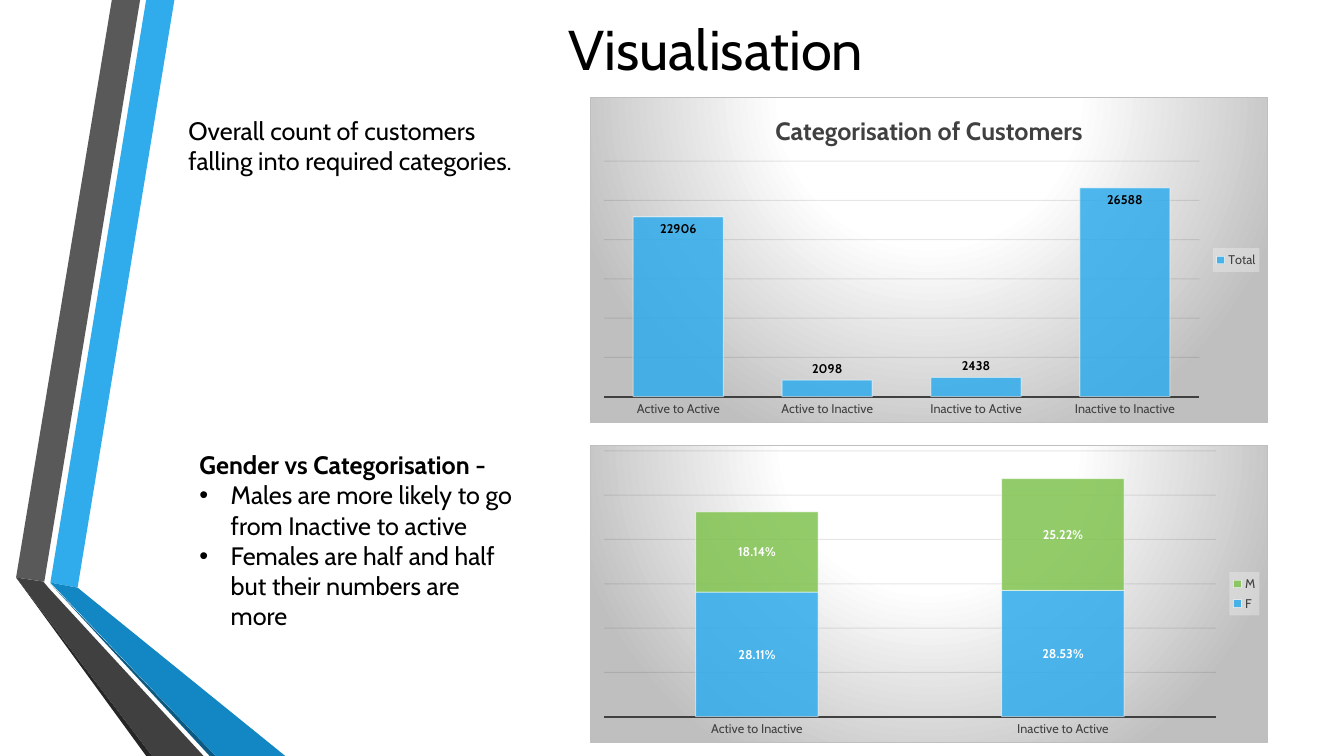
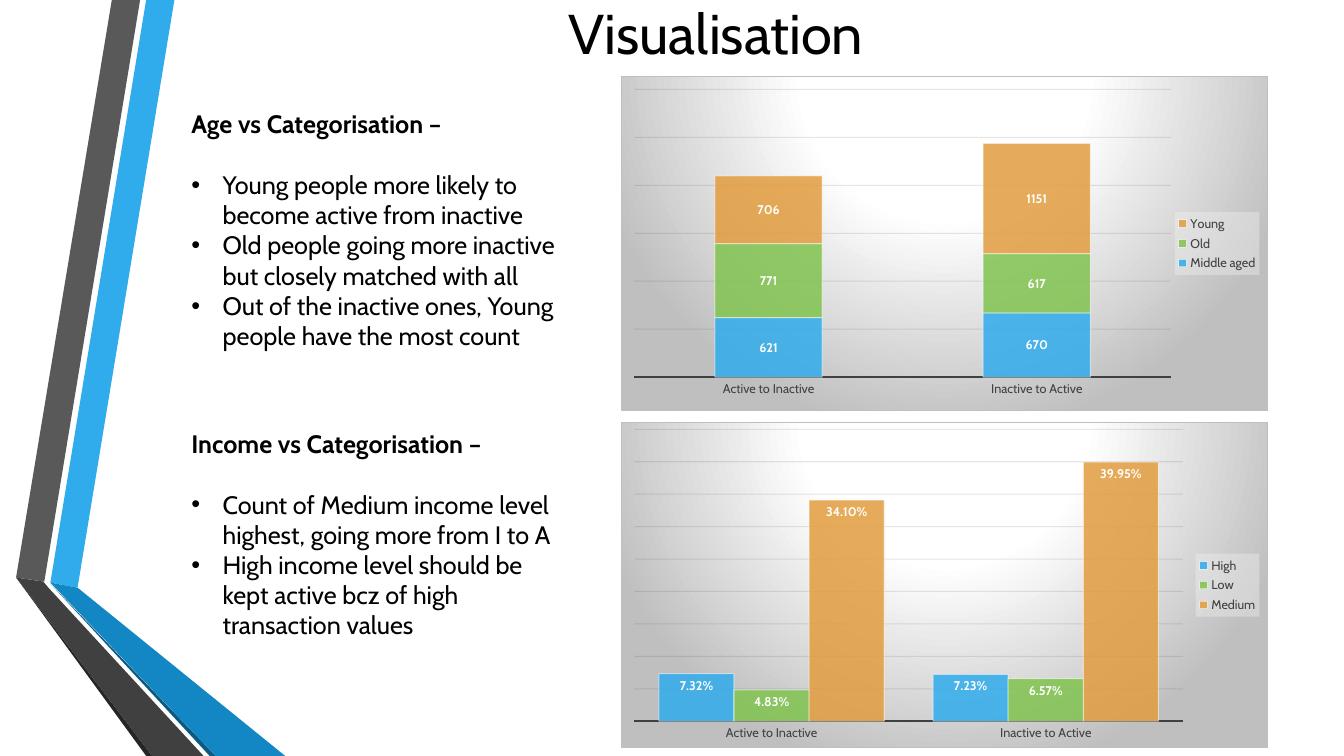
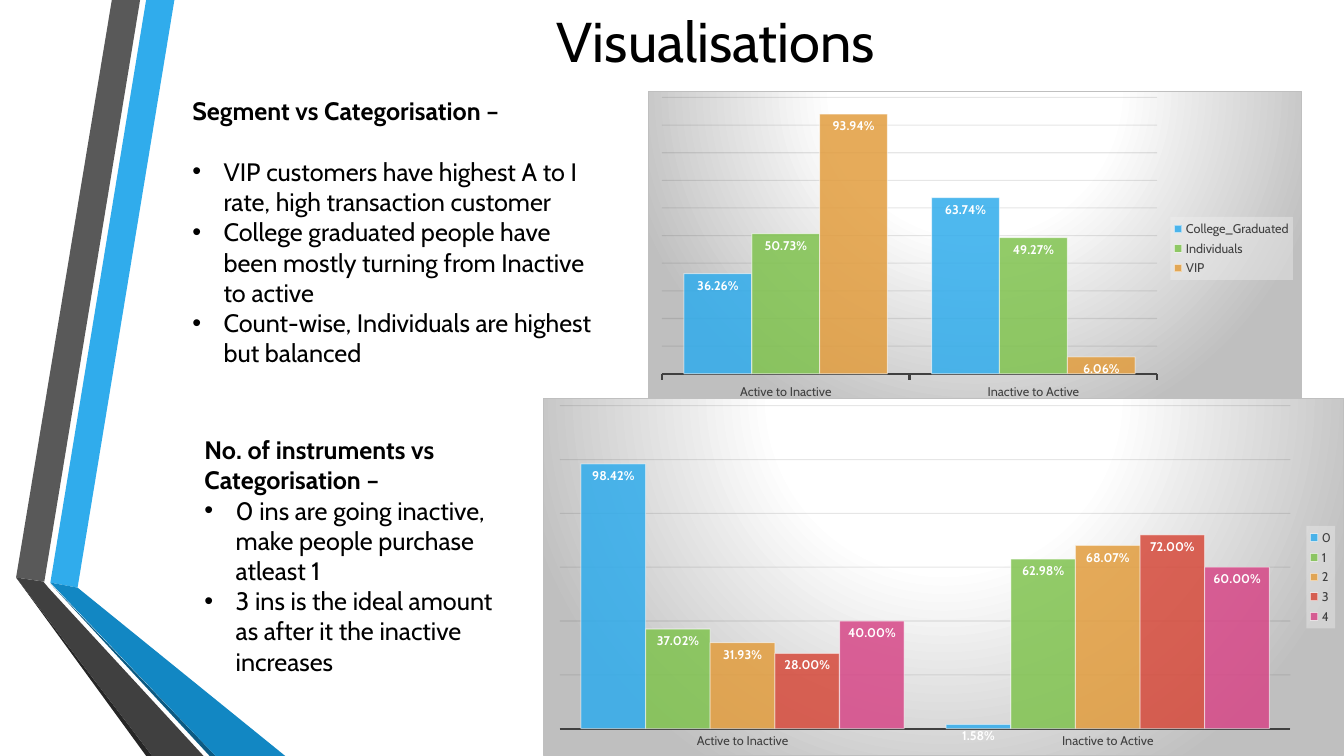
from dataclasses import dataclass

from pptx import Presentation
from pptx.chart.data import CategoryChartData
from pptx.dml.color import RGBColor
from pptx.enum.chart import XL_CHART_TYPE, XL_LABEL_POSITION, XL_LEGEND_POSITION, XL_TICK_MARK
from pptx.enum.text import MSO_ANCHOR, MSO_AUTO_SIZE, PP_ALIGN
from pptx.oxml import parse_xml
from pptx.oxml.ns import nsdecls, qn
from pptx.util import Pt

CLUSTERED, STACKED = XL_CHART_TYPE.COLUMN_CLUSTERED, XL_CHART_TYPE.COLUMN_STACKED
INSIDE, OUTSIDE, MIDDLE = (XL_LABEL_POSITION.INSIDE_END, XL_LABEL_POSITION.OUTSIDE_END,
                           XL_LABEL_POSITION.CENTER)
LEGEND_RIGHT = XL_LEGEND_POSITION.RIGHT
TICK_NONE, TICK_OUT = XL_TICK_MARK.NONE, XL_TICK_MARK.OUTSIDE
ANCHOR_TOP, ANCHOR_MIDDLE = MSO_ANCHOR.TOP, MSO_ANCHOR.MIDDLE
LEFT, CENTER = PP_ALIGN.LEFT, PP_ALIGN.CENTER
GROW = MSO_AUTO_SIZE.SHAPE_TO_FIT_TEXT

PX = 9144
SLIDE_W, SLIDE_H = 1333, 750
SHIFTS = ["Active to Inactive", "Inactive to Active"]
PERCENT = "0.00%"


@dataclass(frozen=True)
class Theme:
    font: str = "Cabin"
    text: str = "000000"
    white: str = "FFFFFF"
    muted: str = "404040"
    grid: str = "0D0D0D"
    frame: str = "BFBFBF"
    legend: str = "F2F2F2"
    series: tuple = ("30ACEC", "80C34F", "E29D3E", "D64A3B", "D64787")
    title_size: int = 40
    body_size: int = 18
    chart_size: int = 10
    label_size: int = 9
    heading_gap: float = 21.6
    bullet_indent: int = 31


T = Theme()

RIBBONS = [
    ("30ACEC", [(50, 578), (77, 583), (173, 0), (145, 0)]),
    ("595959", [(139, 0), (111, 0), (16, 573), (44, 577)]),
    ("262626", [(16, 573), (145, 750), (151, 750)]),
    ("0C5A82", [(50, 579), (208, 750), (214, 750)]),
    ("1287C3", [(50, 578), (214, 750), (283, 750), (77, 583)]),
    ("404040", [(202, 750), (48, 583), (43, 577), (16, 573), (151, 750)]),
]


def rgb(color):
    return RGBColor.from_string(color)


def emu(box):
    return [v * PX for v in box]


def style_font(font, size, color=T.text, bold=False):
    font.name, font.size, font.bold = T.font, Pt(size), bold
    font.color.rgb = rgb(color)


def add_text(p, text, size=T.body_size, color=T.text, bold=False, align=LEFT):
    p.alignment = align
    r = p.add_run()
    r.text = text
    style_font(r.font, size, color, bold)


def add_box(s, box, anchor=ANCHOR_TOP):
    tf = s.shapes.add_textbox(*emu(box)).text_frame
    tf.word_wrap = True
    tf.vertical_anchor = anchor
    return tf


def add_title(s, box, text):
    tf = add_box(s, box, ANCHOR_MIDDLE)
    add_text(tf.paragraphs[0], text, size=T.title_size, align=CENTER)


def add_bullet(p):
    pPr = p._p.get_or_add_pPr()
    pPr.set("marL", str(T.bullet_indent * PX))
    pPr.set("indent", str(-T.bullet_indent * PX))
    pPr.append(parse_xml(f'<a:buFont {nsdecls("a")} typeface="Arial"/>'))
    pPr.append(parse_xml(f'<a:buChar {nsdecls("a")} char="•"/>'))


def add_notes_box(s, box, heading, bullets=(), bold=True, gap=0):
    tf = add_box(s, box)
    tf.auto_size = GROW
    p = tf.paragraphs[0]
    add_text(p, heading, bold=bold)
    p.space_after = Pt(gap)
    for bullet in bullets:
        p = tf.add_paragraph()
        add_text(p, bullet)
        add_bullet(p)


def add_ribbons(s, layout):
    for ph in list(layout.placeholders):
        ph.element.getparent().remove(ph.element)
    ribbons = []
    for color, points in RIBBONS:
        builder = s.shapes.build_freeform(*points[0], scale=PX)
        builder.add_line_segments(points[1:], close=True)
        sp = builder.convert_to_shape()
        sp.shadow.inherit = False
        sp.fill.solid()
        sp.fill.fore_color.rgb = rgb(color)
        sp.line.fill.background()
        ribbons.append(sp)
    for sp in ribbons:
        layout.shapes.element.append(sp.element)


def set_alpha(parent, *percents):
    for clr, percent in zip(parent.iter(qn("a:srgbClr")), percents):
        clr.append(parse_xml(f'<a:alpha {nsdecls("a")} val="{percent * 1000}"/>'))


def add_backdrop(element, fill, line="<a:ln><a:noFill/></a:ln>"):
    element.find(qn("c:txPr")).addprevious(
        parse_xml(f'<c:spPr {nsdecls("c", "a")}>{fill}{line}</c:spPr>'))


def add_chart_backdrops(root):
    stops = "".join(f'<a:gs pos="{pos * 1000}"><a:srgbClr val="{color}"/></a:gs>'
                    for pos, color in ((0, T.white), (39, T.white), (100, T.frame)))
    add_backdrop(
        root,
        f'<a:gradFill><a:gsLst>{stops}</a:gsLst><a:path path="circle">'
        '<a:fillToRect l="50000" t="-80000" r="50000" b="180000"/></a:path></a:gradFill>',
        f'<a:ln w="9525"><a:solidFill><a:srgbClr val="{T.frame}"/></a:solidFill></a:ln>')
    add_backdrop(
        next(root.iter(qn("c:legend"))),
        f'<a:solidFill><a:srgbClr val="{T.legend}"><a:alpha val="39000"/></a:srgbClr></a:solidFill>')


def place_plot(root, area):
    plot_area = next(root.iter(qn("c:plotArea")))
    for old in plot_area.findall(qn("c:layout")):
        plot_area.remove(old)
    sizes = "".join(f'<c:{tag} val="{v}"/>' for tag, v in zip("xywh", area))
    plot_area.insert(0, parse_xml(
        f'<c:layout {nsdecls("c")}><c:manualLayout><c:layoutTarget val="inner"/>'
        f'<c:xMode val="edge"/><c:yMode val="edge"/>{sizes}</c:manualLayout></c:layout>'))


def style_axes(chart, top, step, tick):
    axis = chart.category_axis
    axis.major_tick_mark = tick
    axis.format.line.color.rgb = rgb(T.muted)
    axis.format.line.width = Pt(1.5)
    style_font(axis.tick_labels.font, T.label_size, T.muted)
    axis = chart.value_axis
    axis.minimum_scale, axis.maximum_scale, axis.major_unit = 0, top, step
    axis.visible = False
    line = axis.major_gridlines.format.line
    line.color.rgb = rgb(T.grid)
    line.width = Pt(0.75)
    set_alpha(next(chart.element.iter(qn("c:majorGridlines"))), 10)


def style_series(chart, fmt, position, label_color):
    for series, color in zip(chart.plots[0].series, T.series):
        series.format.fill.solid()
        series.format.fill.fore_color.rgb = rgb(color)
        series.format.line.color.rgb = rgb(T.white)
        series.format.line.width = Pt(0.75)
        labels = series.data_labels
        labels.show_value = True
        labels.position = position
        labels.number_format = fmt
        labels.number_format_is_linked = False
        style_font(labels.font, T.label_size, label_color, True)
    for ser in chart.element.iter(qn("c:ser")):
        set_alpha(ser.find(qn("c:spPr")), 85, 50)


def add_column_chart(s, box, series, top, step, cats=SHIFTS, fmt=PERCENT, stacked=False,
                     tick=TICK_NONE, title=None, label_color=T.white, plot_area=None):
    data = CategoryChartData(number_format=fmt)
    data.categories = cats
    for name, values in series.items():
        data.add_series(name, values)
    chart = s.shapes.add_chart(STACKED if stacked else CLUSTERED, *emu(box), data).chart
    style_font(chart.font, T.chart_size)
    chart.has_title = title is not None
    if title:
        add_text(chart.chart_title.text_frame.paragraphs[0], title, color=T.muted,
                 bold=True, align=CENTER)
        chart.chart_title.include_in_layout = False
    chart.has_legend = True
    chart.legend.position = LEGEND_RIGHT
    chart.legend.include_in_layout = False
    style_font(chart.legend.font, T.label_size, T.muted)
    plot = chart.plots[0]
    plot.vary_by_categories = False
    plot.gap_width = 150 if stacked else 65
    style_axes(chart, top, step, tick)
    style_series(chart, fmt, MIDDLE if stacked else INSIDE, label_color)
    add_chart_backdrops(chart.element)
    if plot_area:
        place_plot(chart.element, plot_area)
    return chart


def lift_labels(chart, indexes):
    for i in indexes:
        label = chart.plots[0].series[0].points[i].data_label
        style_font(label.font, T.label_size, T.text, True)
        label.position = OUTSIDE


def build_overview(s):
    add_title(s, (162, 0, 1096, 96), "Visualisation")
    chart = add_column_chart(
        s, (585, 96, 673, 324), {"Total": (22906, 2098, 2438, 26588)}, 30000, 5000,
        cats=["Active to Active", *SHIFTS, "Inactive to Inactive"], fmt="General",
        title="Categorisation of Customers", label_color=T.text)
    lift_labels(chart, (1, 2))
    add_notes_box(s, (177, 109, 365, 71),
                  "Overall count of customers falling into required categories.", bold=False)
    add_column_chart(s, (585, 441, 673, 296),
                     {"F": (0.2811, 0.2853), "M": (0.1814, 0.2522)}, 0.6, 0.1, stacked=True)
    add_notes_box(s, (188, 441, 338, 162), "Gender vs Categorisation -", [
        "Males are more likely to go from Inactive to active",
        "Females are half and half but their numbers are more"])


def build_age_income(s):
    add_title(s, (162, -13, 1096, 89), "Visualisation")
    add_column_chart(
        s, (616, 75, 642, 333),
        {"Middle aged": (621, 670), "Old": (771, 617), "Young": (706, 1151)}, 3000, 500,
        fmt="General", stacked=True, plot_area=(0.02, 0.04, 0.83, 0.86))
    add_notes_box(s, (180, 103, 404, 252), "Age vs Categorisation –", [
        "Young people more likely to become active from inactive",
        "Old people going more inactive but closely matched with all",
        "Out of the inactive ones, Young people have the most count"], gap=T.heading_gap)
    add_column_chart(
        s, (616, 419, 642, 323),
        {"High": (0.0732, 0.0723), "Low": (0.0483, 0.0657), "Medium": (0.341, 0.3995)},
        0.45, 0.05)
    add_notes_box(s, (180, 420, 394, 222), "Income vs Categorisation –", [
        "Count of Medium income level highest, going more from I to A",
        "High income level should be kept active bcz of high transaction values"],
        gap=T.heading_gap)


def build_segment_instruments(s):
    add_title(s, (162, 0, 1096, 79), "Visualisations")
    add_column_chart(
        s, (643, 90, 648, 313),
        {"College_Graduated": (0.3626, 0.6374), "Individuals": (0.5073, 0.4927),
         "VIP": (0.9394, 0.0606)}, 1, 0.1, tick=TICK_OUT)
    add_notes_box(s, (181, 90, 417, 283), "Segment vs Categorisation –", [
        "VIP customers have highest A to I rate, high transaction customer",
        "College graduated people have been mostly turning from Inactive to active",
        "Count-wise, Individuals are highest but balanced"], gap=T.heading_gap)
    add_column_chart(
        s, (539, 395, 794, 355),
        {"0": (0.9842, 0.0158), "1": (0.3702, 0.6298), "2": (0.3193, 0.6807),
         "3": (0.28, 0.72), "4": (0.4, 0.6)}, 1.2, 0.2)
    add_notes_box(s, (193, 426, 330, 252), "No. of instruments vs Categorisation –", [
        "0 ins are going inactive, make people purchase atleast 1",
        "3 ins is the ideal amount as after it the inactive increases"])


def main():
    prs = Presentation()
    prs.slide_width, prs.slide_height = SLIDE_W * PX, SLIDE_H * PX
    blank = prs.slide_layouts[6]
    builders = (build_overview, build_age_income, build_segment_instruments)
    slides = [prs.slides.add_slide(blank) for _ in builders]
    add_ribbons(slides[0], blank)
    for build, s in zip(builders, slides):
        build(s)
    prs.save("out.pptx")


if __name__ == "__main__":
    main()
